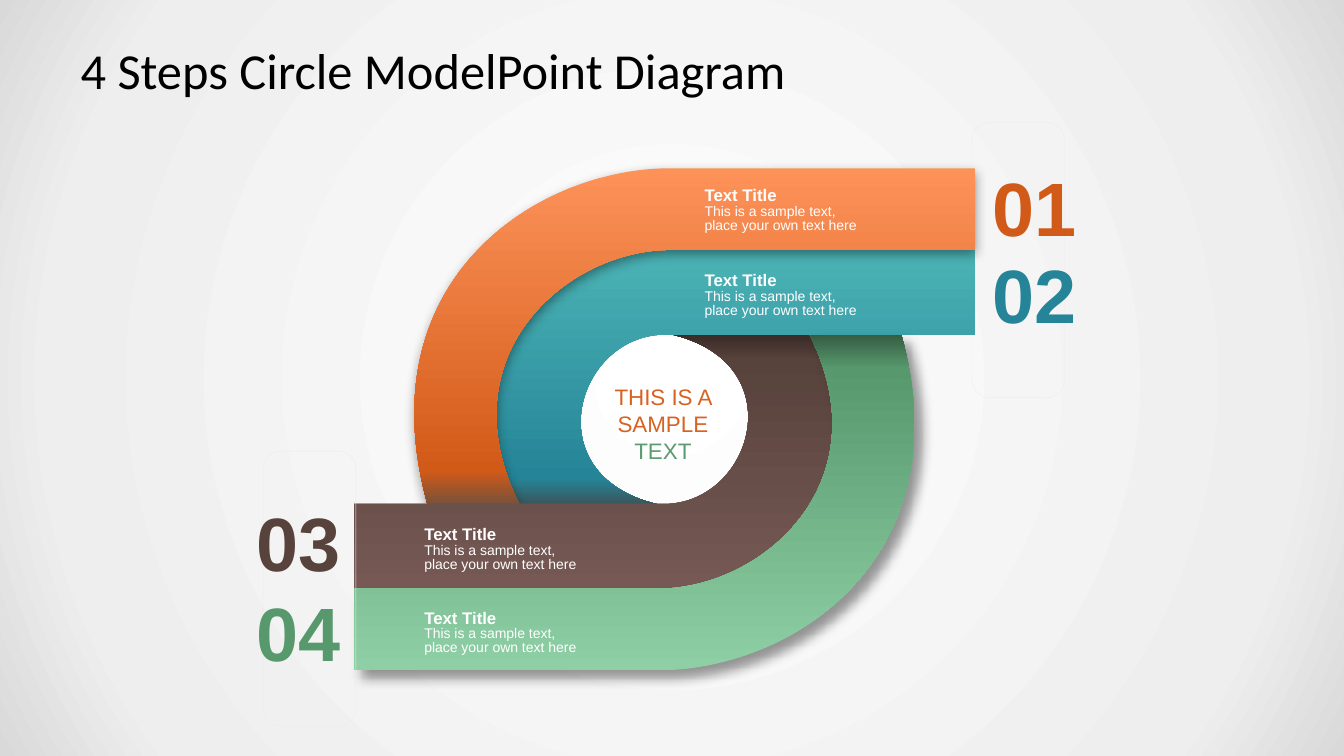
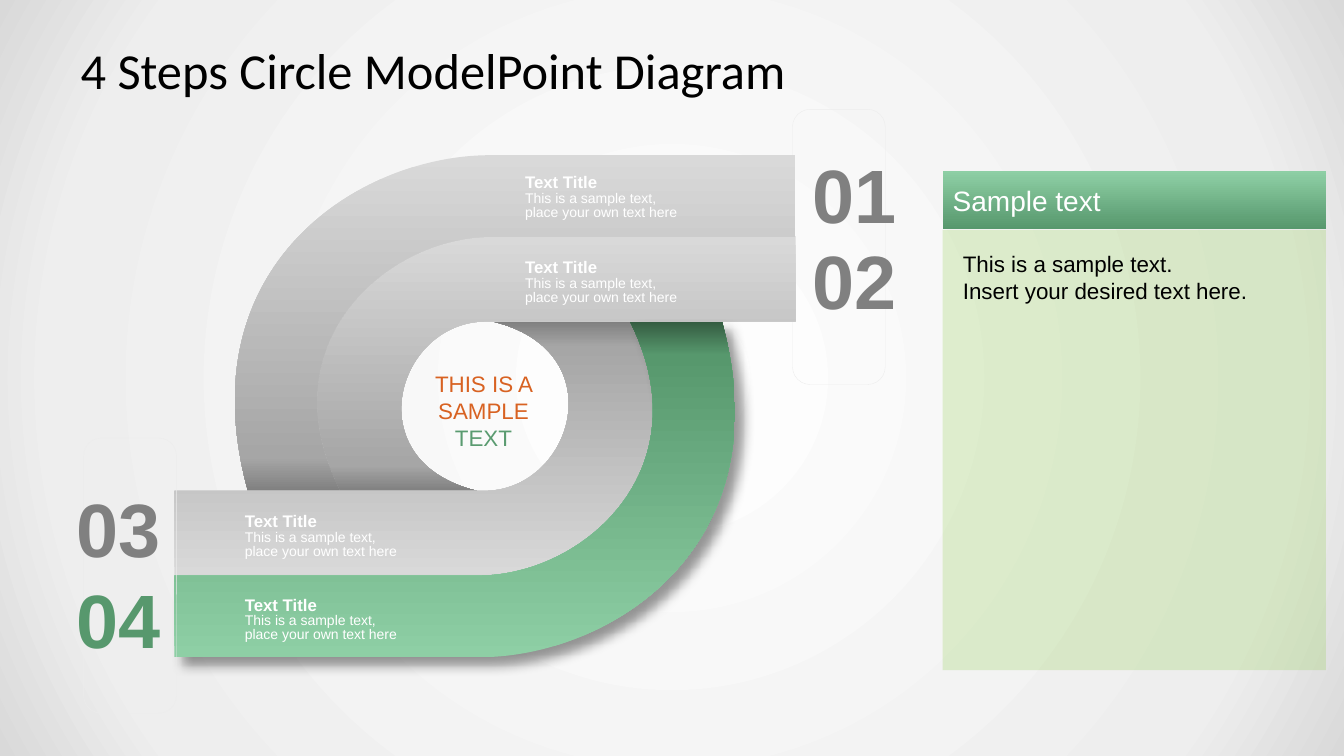
from dataclasses import dataclass
from typing import Any, NamedTuple

from pptx import Presentation
from pptx.dml.color import RGBColor
from pptx.enum.shapes import MSO_SHAPE as Preset
from pptx.enum.text import MSO_ANCHOR as Anchor, MSO_AUTO_SIZE as AutoSize, PP_ALIGN as Align
from pptx.oxml import parse_xml
from pptx.oxml.ns import nsdecls, qn
from pptx.util import Inches, Pt

COLUMNS, ROWS = 13.33, 7.5  # grid cells are one inch square
CURVE_STEPS = 40
UNITS = 1000  # freeform units per grid cell


class Gradient(NamedTuple):
    stops: tuple[tuple[int, str], ...]
    angle: int | None = 90  # None: circular, from the centre

    def turned(self) -> "Gradient":
        return self._replace(angle=270)


class Shadow(NamedTuple):
    alpha: int
    blur: float
    distance: float
    direction: int


def three_stops(light: str, main: str, dark: str) -> Gradient:
    return Gradient(((0, light), (90, main), (100, dark)))


@dataclass(frozen=True)
class Theme:
    backdrop: Gradient = Gradient(((0, "FFFFFF"), (81, "EEEEEE"), (100, "D9D9D9")), None)
    orange: Gradient = three_stops("FD9259", "D25A18", "7A513A")
    teal: Gradient = three_stops("4BB3B5", "258497", "39575D")
    brown: Gradient = three_stops("765955", "58423C", "392B27")
    green: Gradient = three_stops("8ECFA5", "57986D", "355D42")
    grey: Gradient = three_stops("D9D9D9", "A6A6A6", "808080")
    header: Gradient = Gradient(((0, "8ECFA5"), (100, "57986D")))
    muted: str = "808080"
    tab_line: str = "ECECEC"
    panel: str = "92D050"
    panel_alpha: int = 25
    black: str = "000000"
    white: str = "FFFFFF"
    hub_orange: str = "D86222"
    hub_green: str = "5A9B70"
    title_font: str = "Calibri"
    body_font: str = "Arial"
    title_size: int = 36
    number_size: int = 54
    header_size: int = 20
    body_size: int = 16
    label_size: int = 12
    small_size: int = 10
    over_shadow: Shadow = Shadow(40, 8, 3, 90)
    under_shadow: Shadow = Shadow(40, 8, 8, 45)


THEME = Theme()
Paint = Gradient | str


class Point(NamedTuple):
    x: float
    y: float

    def shifted(self, dx: float, dy: float) -> "Point":
        return Point(self.x + dx, self.y + dy)


class Box(NamedTuple):
    column: float
    row: float
    columns: float
    rows: float

    def lengths(self) -> list[int]:
        return [Inches(value) for value in self]


class Span(NamedTuple):
    text: str
    size: int
    paint: Paint
    bold: bool = False
    font: str = THEME.body_font


class Para(NamedTuple):
    spans: tuple[Span, ...]
    format: dict[str, Any] = {}


class Band(NamedTuple):
    """A bent ribbon, in cells from the hub: straight arm, inner and outer curve."""
    start_x: float
    top: float
    bottom: float
    inner: tuple[Point, Point, Point]
    outer: tuple[Point, Point, Point]


class Step(NamedTuple):
    number: str
    band: Band
    flipped: bool
    number_at: Point
    label_at: Point


class Look(NamedTuple):
    fill: Gradient
    number: Paint
    shadow: Shadow | None = None


ARM_END, FOOT = 3.08, 0.84
INNER = Band(-0.01, -1.69, -0.84,
             (Point(-0.88, -0.82), Point(-1.28, 0.55), Point(-0.08, FOOT)),
             (Point(-1.44, FOOT), Point(-2.22, -0.74), Point(-0.84, -1.67)))
OUTER = Band(0.03, -2.49, -1.68,
             (Point(-0.99, -1.66), Point(-2.17, -0.62), Point(-1.44, FOOT)),
             (Point(-2.35, FOOT), Point(-2.97, -1.4), Point(-1.24, -2.48)))

STEPS = (
    Step("01", OUTER, False, Point(3.15, -2.62), Point(0.3, -2.63)),
    Step("02", INNER, False, Point(3.15, -1.76), Point(0.3, -1.79)),
    Step("03", INNER, True, Point(-4.15, 0.7), Point(-2.48, 0.73)),
    Step("04", OUTER, True, Point(-4.15, 1.6), Point(-2.48, 1.56)),
)
DRAW_ORDER = (1, 0, 2, 3)

GREEN_LOOK = Look(THEME.green, THEME.green, THEME.under_shadow)
COLOUR_LOOKS = (
    Look(THEME.orange, THEME.orange, THEME.over_shadow),
    Look(THEME.teal, THEME.teal),
    Look(THEME.brown, THEME.brown),
    GREEN_LOOK,
)
FOCUS_LOOKS = (Look(THEME.grey, THEME.muted),) * 3 + (GREEN_LOOK,)


def assign(target: Any, values: dict[str, Any]) -> None:
    for name, value in values.items():
        setattr(target, name, value)


def apply_paint(fill: Any, owner: Any, paint: Paint) -> None:
    """Fill with a plain colour or a gradient; owner is the element that holds the fill."""
    if isinstance(paint, str):
        fill.solid()
        fill.fore_color.rgb = RGBColor.from_string(paint)
        return
    stops = "".join(f'<a:gs pos="{position * 1000}"><a:srgbClr val="{colour}"/></a:gs>'
                    for position, colour in paint.stops)
    if paint.angle is None:
        course = ('<a:path path="circle"><a:fillToRect l="50000" t="50000" '
                  'r="50000" b="50000"/></a:path>')
    else:
        course = f'<a:lin ang="{paint.angle * 60000}" scaled="0"/>'
    fill.gradient()
    owner.replace(owner.find(qn("a:gradFill")), parse_xml(
        f'<a:gradFill {nsdecls("a")} rotWithShape="1"><a:gsLst>{stops}</a:gsLst>{course}</a:gradFill>'))


def style_shape(shape: Any, paint: Paint, shadow: Shadow | None = None) -> None:
    properties = shape.element.spPr
    apply_paint(shape.fill, properties, paint)
    shape.line.fill.background()
    shape.shadow.inherit = False
    if shadow:
        properties.find(qn("a:effectLst")).append(parse_xml(
            f'<a:outerShdw {nsdecls("a")} blurRad="{Pt(shadow.blur)}" dist="{Pt(shadow.distance)}" '
            f'dir="{shadow.direction * 60000}" algn="ctr" rotWithShape="0">'
            f'<a:srgbClr val="{THEME.black}"><a:alpha val="{shadow.alpha * 1000}"/></a:srgbClr>'
            '</a:outerShdw>'))


def write(shape: Any, paras: list[Para], **frame_format: Any) -> None:
    frame = shape.text_frame
    assign(frame, {"word_wrap": True, "vertical_anchor": Anchor.MIDDLE} | frame_format)
    for index, para in enumerate(paras):
        line = frame.add_paragraph() if index else frame.paragraphs[0]
        assign(line, {"alignment": Align.LEFT} | para.format)
        for span in para.spans:
            run = line.add_run()
            run.text = span.text
            assign(run.font, {"size": Pt(span.size), "bold": span.bold, "name": span.font})
            apply_paint(run.font.fill, run._r.get_or_add_rPr(), span.paint)


def add_text(page: Any, box: Box, paras: list[Para], **frame_format: Any) -> None:
    write(page.shapes.add_textbox(*box.lengths()), paras, **frame_format)


def curve_points(*knots: Point) -> list[Point]:
    """Points along a cubic Bézier, both ends included."""
    points = []
    for step in range(CURVE_STEPS + 1):
        t = step / CURVE_STEPS
        weights = ((1 - t) ** 3, 3 * t * (1 - t) ** 2, 3 * t * t * (1 - t), t ** 3)
        points.append(Point(sum(w * k.x for w, k in zip(weights, knots)),
                            sum(w * k.y for w, k in zip(weights, knots))))
    return points


def add_band(page: Any, hub: Point, step: Step, look: Look) -> None:
    band = step.band
    start = Point(band.start_x, band.top)
    turn = Point(band.start_x, band.bottom)
    arm = (Point(ARM_END, band.top), Point(ARM_END, band.bottom))
    reach = min(curve_points(band.outer[0], *band.outer[1:], start))
    side = -1 if step.flipped else 1

    def place(point: Point) -> Point:
        return Point(round((hub.x + side * point.x) * UNITS), round((hub.y + side * point.y) * UNITS))

    corners = [place(point) for point in (start, *arm, turn, band.inner[2], band.outer[0], reach)]
    builder = page.shapes.build_freeform(*corners[0], scale=Inches(1) / UNITS)
    builder.add_line_segments(corners[1:], close=True)
    shape = builder.convert_to_shape()

    left, top = min(p.x for p in corners), min(p.y for p in corners)
    outline = next(shape.element.iter(qn("a:path")))
    for segment in list(outline):
        outline.remove(segment)
    segments = (("moveTo", (start,)), *(("lnTo", (point,)) for point in (*arm, turn)),
                ("cubicBezTo", band.inner), ("lnTo", band.outer[:1]),
                ("cubicBezTo", (*band.outer[1:], start)), ("close", ()))
    for tag, points in segments:
        spots = "".join(f'<a:pt x="{p.x - left}" y="{p.y - top}"/>' for p in map(place, points))
        outline.append(parse_xml(f'<a:{tag} {nsdecls("a")}>{spots}</a:{tag}>'))
    style_shape(shape, look.fill.turned() if step.flipped else look.fill, look.shadow)


def add_tab(page: Any, centre: Point, rotation: int) -> None:
    length, width = 2.73, 0.92
    box = Box(*centre.shifted(-length / 2, -width / 2), length, width)
    tab = page.shapes.add_shape(Preset.ROUNDED_RECTANGLE, *box.lengths())
    tab.adjustments[0] = 0.19
    tab.rotation = rotation
    tab.shadow.inherit = False
    tab.fill.background()
    tab.line.width = Pt(0.25)
    tab.line.color.rgb = RGBColor.from_string(THEME.tab_line)


def add_diagram(page: Any, hub: Point, looks: tuple[Look, ...]) -> None:
    add_tab(page, hub.shifted(3.51, -1.58), 90)
    for index in DRAW_ORDER:
        add_band(page, hub, STEPS[index], looks[index])
    add_tab(page, hub.shifted(-3.52, 1.68), 270)
    add_text(page, Box(*hub.shifted(-0.64, -0.41), 1.25, 0.91), [Para((
        Span("THIS IS A SAMPLE ", THEME.body_size, THEME.hub_orange),
        Span("TEXT", THEME.body_size, THEME.hub_green)), {"alignment": Align.CENTER})],
        auto_size=AutoSize.SHAPE_TO_FIT_TEXT)
    for step, look in zip(STEPS, looks):
        add_text(page, Box(*hub.shifted(*step.number_at), 1.04, 1.01),
                 [Para((Span(step.number, THEME.number_size, look.number, True),),
                       {"alignment": Align.CENTER})],
                 word_wrap=False, auto_size=AutoSize.SHAPE_TO_FIT_TEXT)
        add_text(page, Box(*hub.shifted(*step.label_at), 1.73, 0.99), [
            Para((Span("Text Title", THEME.label_size, THEME.white, True),), {"line_spacing": 1.5}),
            Para((Span("This is a sample text, place your own text here",
                       THEME.small_size, THEME.white),), {"line_spacing": Pt(10)})])


def add_panel(page: Any) -> None:
    header = page.shapes.add_shape(Preset.RECTANGLE, *Box(9.35, 1.7, 3.8, 0.57).lengths())
    style_shape(header, THEME.header)
    write(header, [Para((Span("Sample text", THEME.header_size, THEME.white),))])
    body = page.shapes.add_shape(Preset.RECTANGLE, *Box(9.35, 2.28, 3.8, 4.37).lengths())
    style_shape(body, THEME.panel)
    colour = body.element.spPr.find(f'{qn("a:solidFill")}/{qn("a:srgbClr")}')
    colour.append(parse_xml(f'<a:alpha {nsdecls("a")} val="{THEME.panel_alpha * 1000}"/>'))
    margins = {f"margin_{side}": Inches(0.2) for side in ("left", "top", "right", "bottom")}
    lines = ("This is a sample text.", "Insert your desired text here.")
    write(body, [Para((Span(line, THEME.body_size, THEME.black),)) for line in lines],
          vertical_anchor=Anchor.TOP, **margins)


def add_page(deck: Any, title: str) -> Any:
    page = deck.slides.add_slide(deck.slide_layouts[6])
    fill = page.background.fill
    fill.solid()
    apply_paint(fill, page.element.find(f'.//{qn("p:bgPr")}'), THEME.backdrop)
    add_text(page, Box(0.67, 0.3, 12, 0.78),
             [Para((Span(title, THEME.title_size, THEME.black, font=THEME.title_font),))],
             margin_left=Inches(0.13), margin_right=Inches(0.13),
             margin_top=Inches(0.07), margin_bottom=Inches(0.07))
    return page


def main() -> None:
    deck = Presentation()
    assign(deck, {"slide_width": Inches(COLUMNS), "slide_height": Inches(ROWS)})
    title = "4 Steps Circle ModelPoint Diagram"
    add_diagram(add_page(deck, title), Point(6.59, 4.16), COLOUR_LOOKS)
    focus_page = add_page(deck, title)
    add_diagram(focus_page, Point(4.81, 4.03), FOCUS_LOOKS)
    add_panel(focus_page)
    deck.save("out.pptx")


if __name__ == "__main__":
    main()
